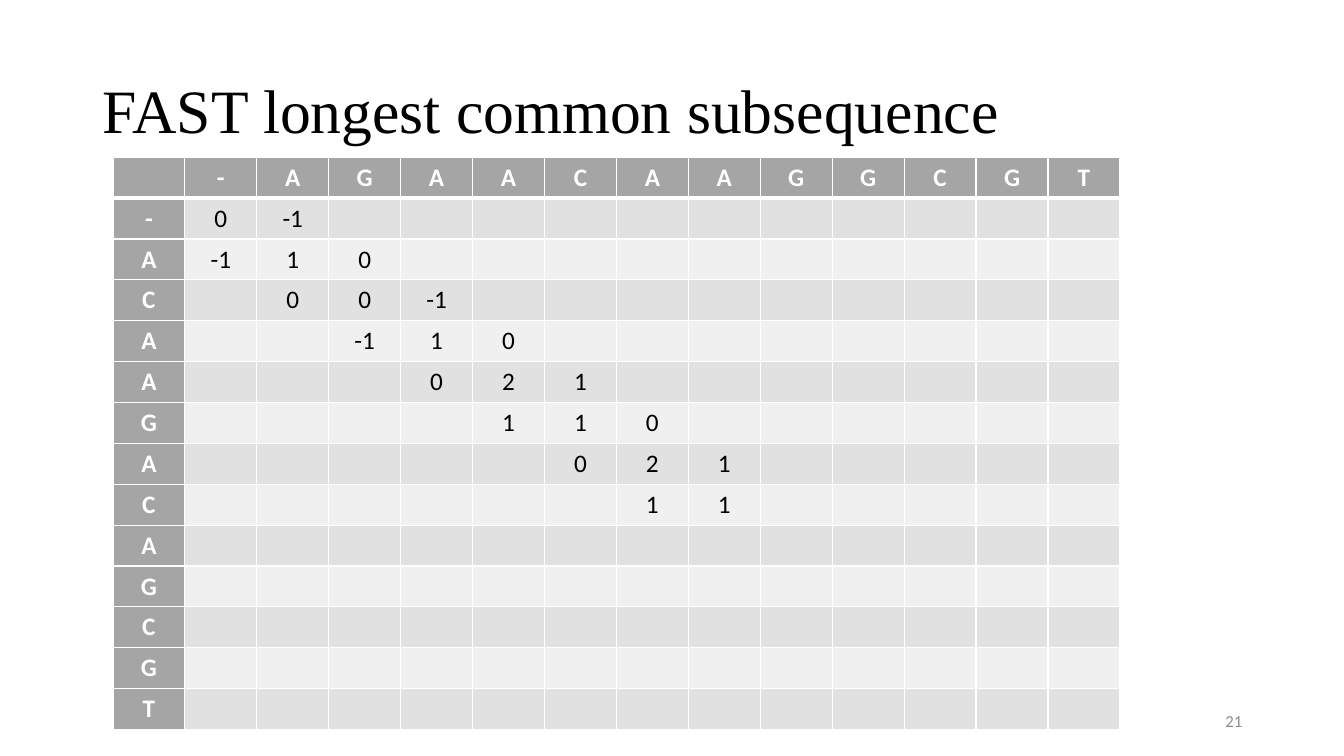
from lxml import etree
from pptx import Presentation
from pptx.dml.color import RGBColor
from pptx.enum.text import MSO_ANCHOR, PP_ALIGN
from pptx.oxml.ns import qn
from pptx.util import Emu, Pt

LEFT, CENTER, RIGHT = PP_ALIGN.LEFT, PP_ALIGN.CENTER, PP_ALIGN.RIGHT
MIDDLE = MSO_ANCHOR.MIDDLE
EMU_PER_PX = 9144
BLANK_LAYOUT = 6

WHITE, BLACK = "FFFFFF", "000000"
HEADER_FILL = "A5A5A5"
BAND_FILLS = ["F0F0F0", "E1E1E1"]

TITLE_FORMAT = {"name": "Times New Roman", "size": Pt(44)}
NUMBER_FORMAT = {"name": "Calibri", "size": Pt(12)}
HEADER_FORMAT = {"name": "Calibri", "size": Pt(18), "bold": True}
SCORE_FORMAT = {"name": "Calibri", "size": Pt(18), "bold": False}

TOP_SEQUENCE = "-AGAACAAGGCGT"
SIDE_SEQUENCE = "-ACAAGACAGCGT"
BAND_SCORES = [
    [0, -1],
    [-1, 1, 0],
    [0, 0, -1],
    [-1, 1, 0],
    [0, 2, 1],
    [1, 1, 0],
    [0, 2, 1],
    [1, 1],
]


def px(length):
    return Emu(length * EMU_PER_PX)


def color(value):
    return RGBColor.from_string(value)


def write_text(frame, text, text_color, text_format, alignment):
    paragraph = frame.paragraphs[0]
    paragraph.alignment = alignment
    run = paragraph.add_run()
    run.text = text
    for attribute, value in text_format.items():
        setattr(run.font, attribute, value)
    run.font.color.rgb = color(text_color)
    return paragraph


def add_label(slide, box, text, text_color, text_format, alignment):
    frame = slide.shapes.add_textbox(*map(px, box)).text_frame
    frame.word_wrap = True
    frame.vertical_anchor = MIDDLE
    return write_text(frame, text, text_color, text_format, alignment)


def set_borders(cell, widths):
    properties = cell._tc.get_or_add_tcPr()
    for side, width in widths.items():
        line = etree.SubElement(properties, qn(f"a:ln{side}"), w=str(Pt(width)))
        fill = etree.SubElement(line, qn("a:solidFill"))
        etree.SubElement(fill, qn("a:srgbClr"), val=WHITE)


def cell_text(row, column):
    if row == 0:
        return TOP_SEQUENCE[column - 1] if column else ""
    if column == 0:
        return SIDE_SEQUENCE[row - 1]
    if row > len(BAND_SCORES):
        return ""
    scores = BAND_SCORES[row - 1]
    offset = column - max(1, row - 1)
    return str(scores[offset]) if 0 <= offset < len(scores) else ""


def add_score_table(slide, box):
    row_count, column_count = len(SIDE_SEQUENCE) + 1, len(TOP_SEQUENCE) + 1
    table = slide.shapes.add_table(row_count, column_count, *map(px, box)).table
    for row in range(row_count):
        for column in range(column_count):
            cell = table.cell(row, column)
            is_header = row == 0 or column == 0
            set_borders(cell, {"L": 1, "R": 1,
                               "T": 3 if row == 1 else 1,
                               "B": 3 if row == 0 else 1})
            cell.fill.solid()
            cell.fill.fore_color.rgb = color(HEADER_FILL if is_header else BAND_FILLS[row % 2])
            text = cell_text(row, column)
            if text:
                write_text(cell.text_frame, text, WHITE if is_header else BLACK,
                           HEADER_FORMAT if is_header else SCORE_FORMAT, CENTER)


def main():
    presentation = Presentation()
    presentation.slide_width, presentation.slide_height = px(1333), px(750)
    slide = presentation.slides.add_slide(presentation.slide_layouts[BLANK_LAYOUT])
    title = add_label(slide, (92, 40, 1150, 145), "FAST longest common subsequence",
                      BLACK, TITLE_FORMAT, LEFT)
    title.line_spacing = 0.9
    add_label(slide, (942, 695, 300, 40), "21", "8C8C8C", NUMBER_FORMAT, RIGHT)
    add_score_table(slide, (112, 156, 999, 568))
    presentation.save("out.pptx")


if __name__ == "__main__":
    main()
